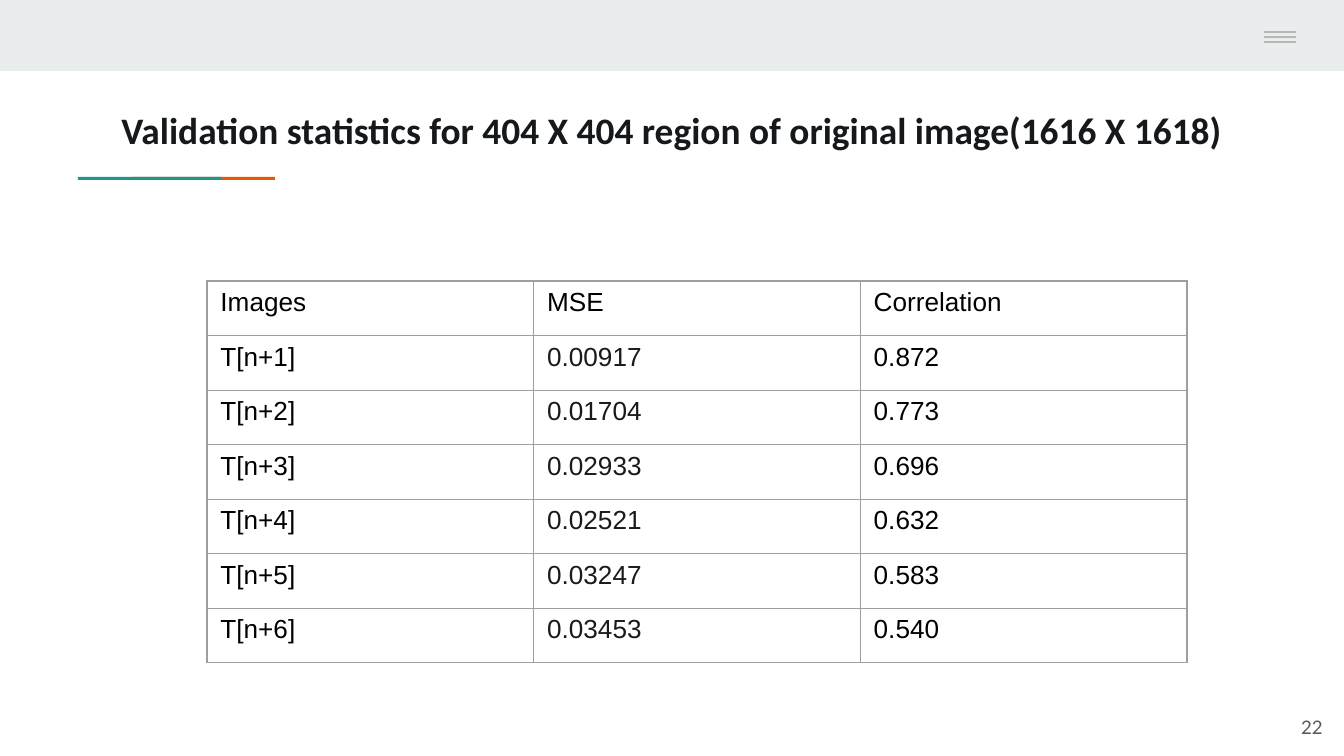
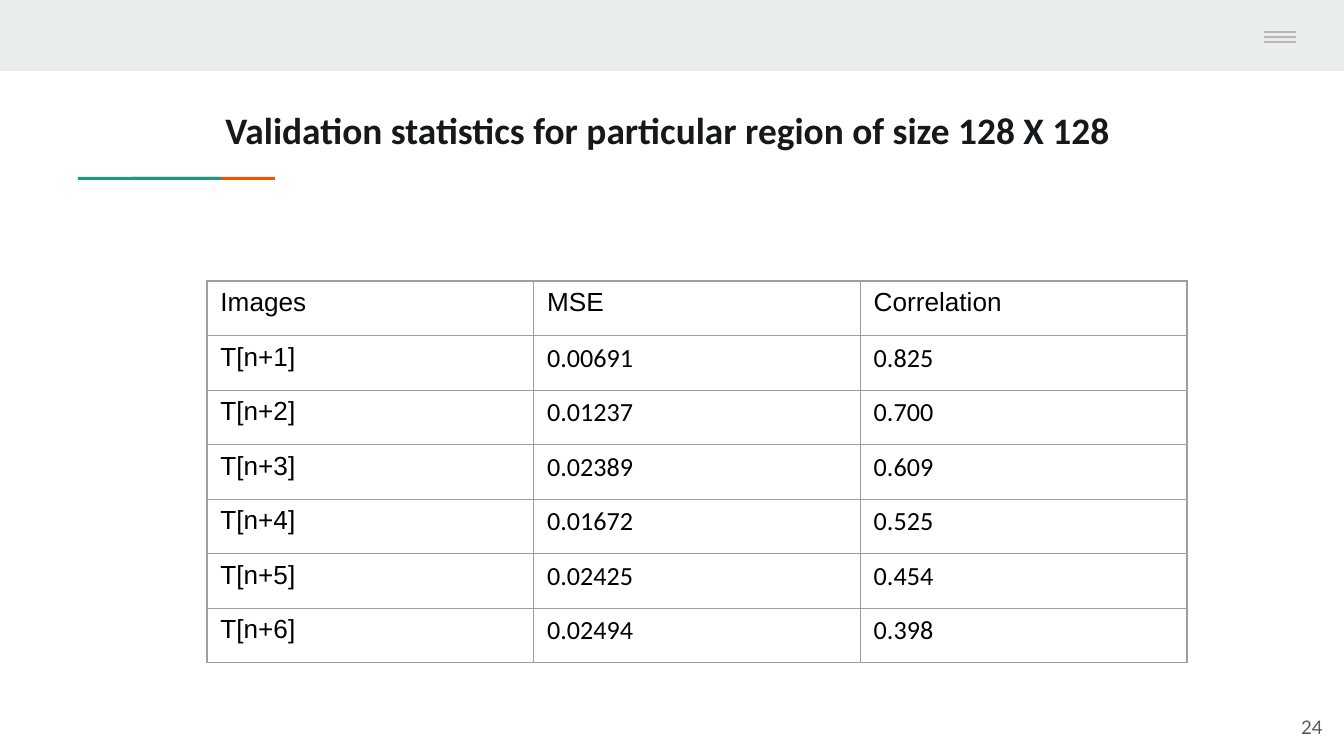
"""Build two slides of validation statistics tables."""
from dataclasses import dataclass

from lxml import etree
from pptx import Presentation
from pptx.dml.color import RGBColor
from pptx.enum.shapes import MSO_CONNECTOR, MSO_SHAPE
from pptx.enum.text import MSO_ANCHOR, PP_ALIGN
from pptx.oxml.ns import qn
from pptx.slide import Slide
from pptx.table import _Cell
from pptx.text.text import TextFrame
from pptx.util import Emu, Inches, Pt

RECTANGLE = MSO_SHAPE.RECTANGLE
STRAIGHT = MSO_CONNECTOR.STRAIGHT
TOP, MIDDLE = MSO_ANCHOR.TOP, MSO_ANCHOR.MIDDLE
LEFT, CENTER, RIGHT = PP_ALIGN.LEFT, PP_ALIGN.CENTER, PP_ALIGN.RIGHT

PX_PER_INCH = 134.4
SLIDE_WIDTH, SLIDE_HEIGHT = 1344, 756


@dataclass(frozen=True)
class Theme:
    """Colours, fonts and sizes shared by the slides."""

    band: str = "E9EDEE"
    teal: str = "1A9988"
    orange: str = "EB5600"
    menu: str = "B7B7B7"
    grid: str = "9E9E9E"
    title: str = "15191B"
    page: str = "595959"
    black: str = "000000"
    dark: str = "1A1A1A"
    title_font: str = "Calibri"
    table_font: str = "Arial"
    page_font: str = "Lato"
    title_size: int = 20
    table_size: int = 14
    page_size: int = 10
    line_width: float = 0.75


THEME = Theme()


@dataclass(frozen=True)
class Box:
    """A rectangle in px."""

    left: int
    top: int
    width: int
    height: int

    def emu(self) -> tuple[Emu, Emu, Emu, Emu]:
        """Return the sides in EMU."""
        return px(self.left), px(self.top), px(self.width), px(self.height)


@dataclass(frozen=True)
class Band:
    """A filled bar of the slide frame."""

    box: Box
    color: str


@dataclass(frozen=True)
class Statistics:
    """The content of one slide; number fonts and colours go by column."""

    title: str
    page: str
    mse: tuple[str, ...]
    correlation: tuple[str, ...]
    number_font: str
    mse_color: str


BANDS = (
    Band(Box(0, 0, SLIDE_WIDTH, 71), THEME.band),
    Band(Box(132, 177, 143, 3), THEME.orange),
    Band(Box(78, 177, 143, 3), THEME.teal),
    Band(Box(1218, 0, 126, 67), THEME.band),
)
MENU_LEFT, MENU_RIGHT, MENU_TOP, MENU_STEP, MENU_LINES = 1264, 1296, 32, 5, 3
TITLE_BOX = Box(0, 94, SLIDE_WIDTH, 71)
PAGE_BOX = Box(1255, 698, 81, 58)
TABLE_BOX = Box(207, 281, 980, 382)
HEADINGS = ("Images", "MSE", "Correlation")

SLIDES = (
    Statistics(
        "Validation statistics for 404 X 404 region of original image(1616 X 1618)",
        "22",
        ("0.00917", "0.01704", "0.02933", "0.02521", "0.03247", "0.03453"),
        ("0.872", "0.773", "0.696", "0.632", "0.583", "0.540"),
        THEME.table_font,
        THEME.dark,
    ),
    Statistics(
        "Validation statistics for particular region of size 128 X 128 ",
        "24",
        ("0.00691", "0.01237", "0.02389", "0.01672", "0.02425", "0.02494"),
        ("0.825", "0.700", "0.609", "0.525", "0.454", "0.398"),
        THEME.title_font,
        THEME.black,
    ),
)


def px(length: int) -> Emu:
    """Turn px into EMU."""
    return Inches(length / PX_PER_INCH)


def write(frame: TextFrame, text: str, *, font: str, size: int, color: str,
          bold: bool = False, align: PP_ALIGN = LEFT) -> None:
    """Write one formatted paragraph into a text frame."""
    paragraph = frame.paragraphs[0]
    paragraph.alignment = align
    run = paragraph.add_run()
    run.text = text
    run.font.name = font
    run.font.size = Pt(size)
    run.font.bold = bold
    run.font.color.rgb = RGBColor.from_string(color)


def add_text_frame(slide: Slide, box: Box, anchor: MSO_ANCHOR) -> TextFrame:
    """Add a wrapping text box with even insets."""
    frame = slide.shapes.add_textbox(*box.emu()).text_frame
    frame.word_wrap = True
    frame.vertical_anchor = anchor
    frame.margin_left = frame.margin_right = Inches(0.1)
    frame.margin_top = frame.margin_bottom = Inches(0.1)
    return frame


def draw_band(slide: Slide, band: Band) -> None:
    """Draw one filled bar without an outline."""
    bar = slide.shapes.add_shape(RECTANGLE, *band.box.emu())
    bar.shadow.inherit = False
    bar.fill.solid()
    bar.fill.fore_color.rgb = RGBColor.from_string(band.color)
    bar.line.fill.background()


def draw_menu_line(slide: Slide, top: int) -> None:
    """Draw one line of the menu mark."""
    stroke = slide.shapes.add_connector(
        STRAIGHT, px(MENU_LEFT), px(top), px(MENU_RIGHT), px(top))
    stroke.line.color.rgb = RGBColor.from_string(THEME.menu)
    stroke.line.width = Pt(THEME.line_width)
    etree.SubElement(stroke._element.spPr, qn("a:effectLst"))


def draw_frame(slide: Slide, content: Statistics) -> None:
    """Draw the bands, menu mark, page number and title."""
    for band in BANDS:
        draw_band(slide, band)
    for index in range(MENU_LINES):
        draw_menu_line(slide, MENU_TOP + index * MENU_STEP)
    write(add_text_frame(slide, PAGE_BOX, MIDDLE), content.page,
          font=THEME.page_font, size=THEME.page_size, color=THEME.page, align=RIGHT)
    write(add_text_frame(slide, TITLE_BOX, TOP), content.title,
          font=THEME.title_font, size=THEME.title_size, color=THEME.title,
          bold=True, align=CENTER)


def outline_cell(cell: _Cell) -> None:
    """Clear the fill of a cell and give it four borders."""
    cell.fill.background()
    properties = cell._tc.get_or_add_tcPr()
    for position, side in enumerate(("a:lnL", "a:lnR", "a:lnT", "a:lnB")):
        border = etree.Element(qn(side), w=str(Pt(THEME.line_width)))
        fill = etree.SubElement(border, qn("a:solidFill"))
        etree.SubElement(fill, qn("a:srgbClr"), val=THEME.grid)
        properties.insert(position, border)


def draw_table(slide: Slide, content: Statistics) -> None:
    """Draw the table of error and correlation by predicted image."""
    images = [f"T[n+{step}]" for step in range(1, len(content.mse) + 1)]
    records = [HEADINGS, *zip(images, content.mse, content.correlation)]
    table = slide.shapes.add_table(
        len(records), len(HEADINGS), *TABLE_BOX.emu()).table
    table.first_row = table.horz_banding = False
    fonts = (THEME.table_font, content.number_font, content.number_font)
    colors = (THEME.black, content.mse_color, THEME.black)
    for row, record in enumerate(records):
        for column, value in enumerate(record):
            cell = table.cell(row, column)
            outline_cell(cell)
            write(cell.text_frame, value, size=THEME.table_size,
                  font=fonts[column] if row else THEME.table_font,
                  color=colors[column] if row else THEME.black)


def main() -> None:
    """Build and save the presentation."""
    deck = Presentation()
    deck.slide_width, deck.slide_height = px(SLIDE_WIDTH), px(SLIDE_HEIGHT)
    blank = deck.slide_layouts[6]
    for content in SLIDES:
        slide = deck.slides.add_slide(blank)
        draw_frame(slide, content)
        draw_table(slide, content)
    deck.save("out.pptx")


if __name__ == "__main__":
    main()
